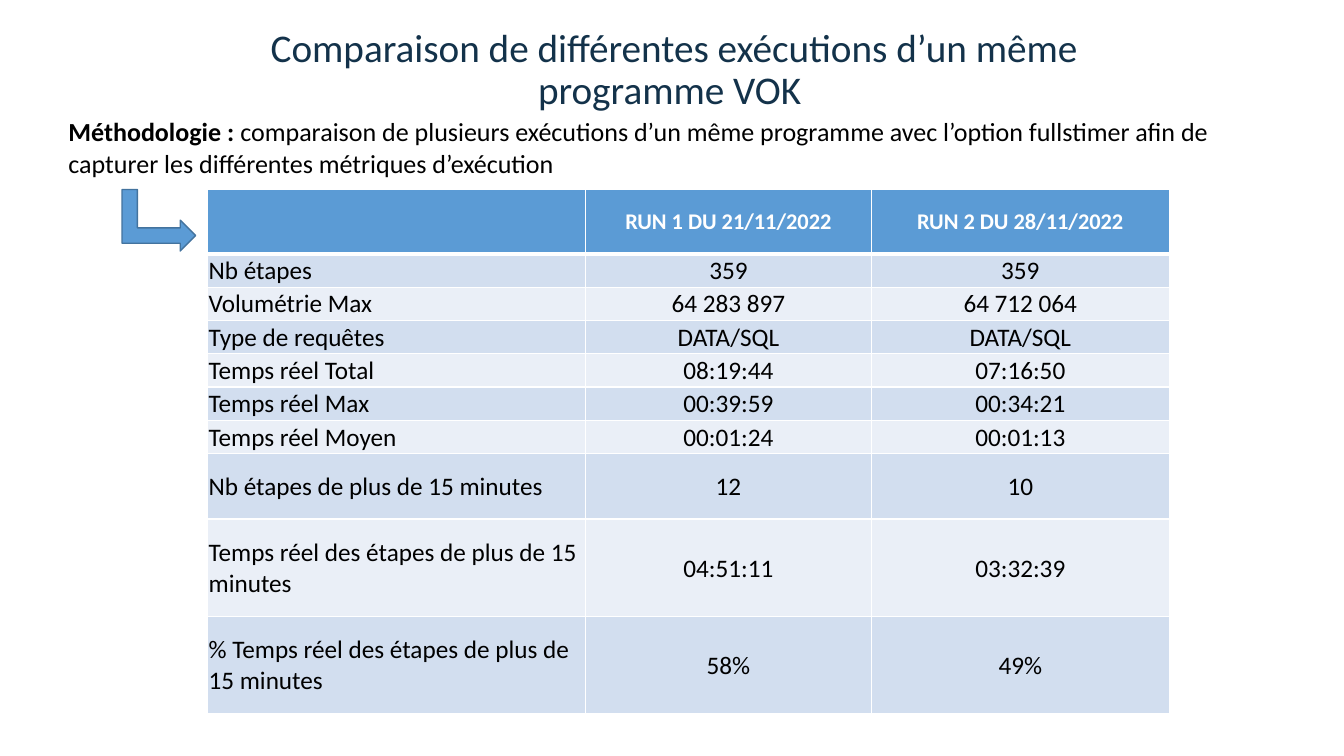
from lxml import etree
from pptx import Presentation
from pptx import util as u
from pptx.dml.color import RGBColor
from pptx.enum import shapes, text
from pptx.oxml.ns import qn

COLORS = {"title": "13324A", "text": "000000", "white": "FFFFFF", "accent": "5B9BD5",
          "outline": "43739E", "odd": "D2DEEF", "even": "EAEFF7"}
COLUMNS = [3.75, 2.83, 2.96]
ROWS = [0.64] + [0.33] * 6 + [0.65, 0.97, 0.96]
RUNS = [
    ("", "RUN 1 DU 21/11/2022", "RUN 2 DU 28/11/2022"),
    ("Nb étapes", "359", "359"),
    ("Volumétrie Max", "64 283 897", "64 712 064"),
    ("Type de requêtes", "DATA/SQL", "DATA/SQL"),
    ("Temps réel Total", "08:19:44", "07:16:50"),
    ("Temps réel Max", "00:39:59", "00:34:21"),
    ("Temps réel Moyen", "00:01:24", "00:01:13"),
    ("Nb étapes de plus de 15 minutes", "12", "10"),
    ("Temps réel des étapes de plus de 15 minutes", "04:51:11", "03:32:39"),
    ("% Temps réel des étapes de plus de 15 minutes", "58%", "49%"),
]


def color(name):
    return RGBColor.from_string(COLORS[name])


def inches(box):
    return [u.Inches(length) for length in box]


def set_values(item, values):
    for name, value in values.items():
        setattr(item, name, value)


def add_span(para, words, size, ink, bold=False):
    span = para.add_run()
    span.text = words
    set_values(span.font, {"name": "Calibri", "size": u.Pt(size), "bold": bold})
    span.font.color.rgb = color(ink)


def add_text(page, box, spans, **layout):
    """Place one wrapped paragraph made of (words, size, ink, bold) spans."""
    frame = page.shapes.add_textbox(*inches(box)).text_frame
    frame.word_wrap = True
    para = frame.paragraphs[0]
    set_values(para, layout)
    for span in spans:
        add_span(para, *span)


def add_arrow(page, box):
    arrow = page.shapes.add_shape(shapes.MSO_SHAPE.BENT_UP_ARROW, *inches(box))
    arrow.rotation = 90
    arrow.shadow.inherit = False
    arrow.fill.solid()
    arrow.fill.fore_color.rgb = color("accent")
    arrow.line.color.rgb = color("outline")
    arrow.line.width = u.Pt(1)


def add_borders(cell, widths):
    for side, width in widths.items():
        line = etree.SubElement(cell._tc.get_or_add_tcPr(), qn(f"a:ln{side}"), w=str(u.Pt(width)))
        fill = etree.SubElement(line, qn("a:solidFill"))
        etree.SubElement(fill, qn("a:srgbClr"), val=COLORS["white"])


def fill_cell(cell, words, row, column):
    header = row == 0
    edge = u.Inches(0.01)
    set_values(cell, {"margin_left": edge, "margin_right": edge, "margin_top": edge,
                      "margin_bottom": 0, "vertical_anchor": text.MSO_ANCHOR.MIDDLE})
    add_borders(cell, {"L": 1, "R": 1, "T": 3 if row == 1 else 1, "B": 3 if header else 1})
    cell.fill.solid()
    cell.fill.fore_color.rgb = color("accent" if header else "odd" if row % 2 else "even")
    para = cell.text_frame.paragraphs[0]
    para.alignment = text.PP_ALIGN.CENTER if column else text.PP_ALIGN.LEFT
    if words:
        add_span(para, words, 16 if header else 18, "white" if header else "text", header)


def add_run_table(page, left, top):
    box = inches((left, top, sum(COLUMNS), sum(ROWS)))
    table = page.shapes.add_table(len(ROWS), len(COLUMNS), *box).table
    for column, width in zip(table.columns, COLUMNS):
        column.width = u.Inches(width)
    for row, height in zip(table.rows, ROWS):
        row.height = u.Inches(height)
    for r, values in enumerate(RUNS):
        for c, words in enumerate(values):
            fill_cell(table.cell(r, c), words, r, c)


def main():
    deck = Presentation()
    set_values(deck, {"slide_width": u.Inches(13.33), "slide_height": u.Inches(7.5)})
    page = deck.slides.add_slide(deck.slide_layouts[6])
    add_text(page, (1.78, 0.23, 9.81, 0.52),
             [("Comparaison de différentes exécutions d’un même programme VOK ", 28, "title")],
             alignment=text.PP_ALIGN.CENTER, line_spacing=0.9)
    add_text(page, (0.58, 1.1, 12.28, 0.73),
             [("Méthodologie : ", 18.6, "text", True),
              ("comparaison de plusieurs exécutions d’un même programme avec l’option fullstimer "
               "afin de capturer les différentes métriques d’exécution", 18.6, "text")])
    add_arrow(page, (1.27, 1.82, 0.61, 0.73))
    add_run_table(page, 2.06, 1.88)
    deck.save("out.pptx")


if __name__ == "__main__":
    main()
